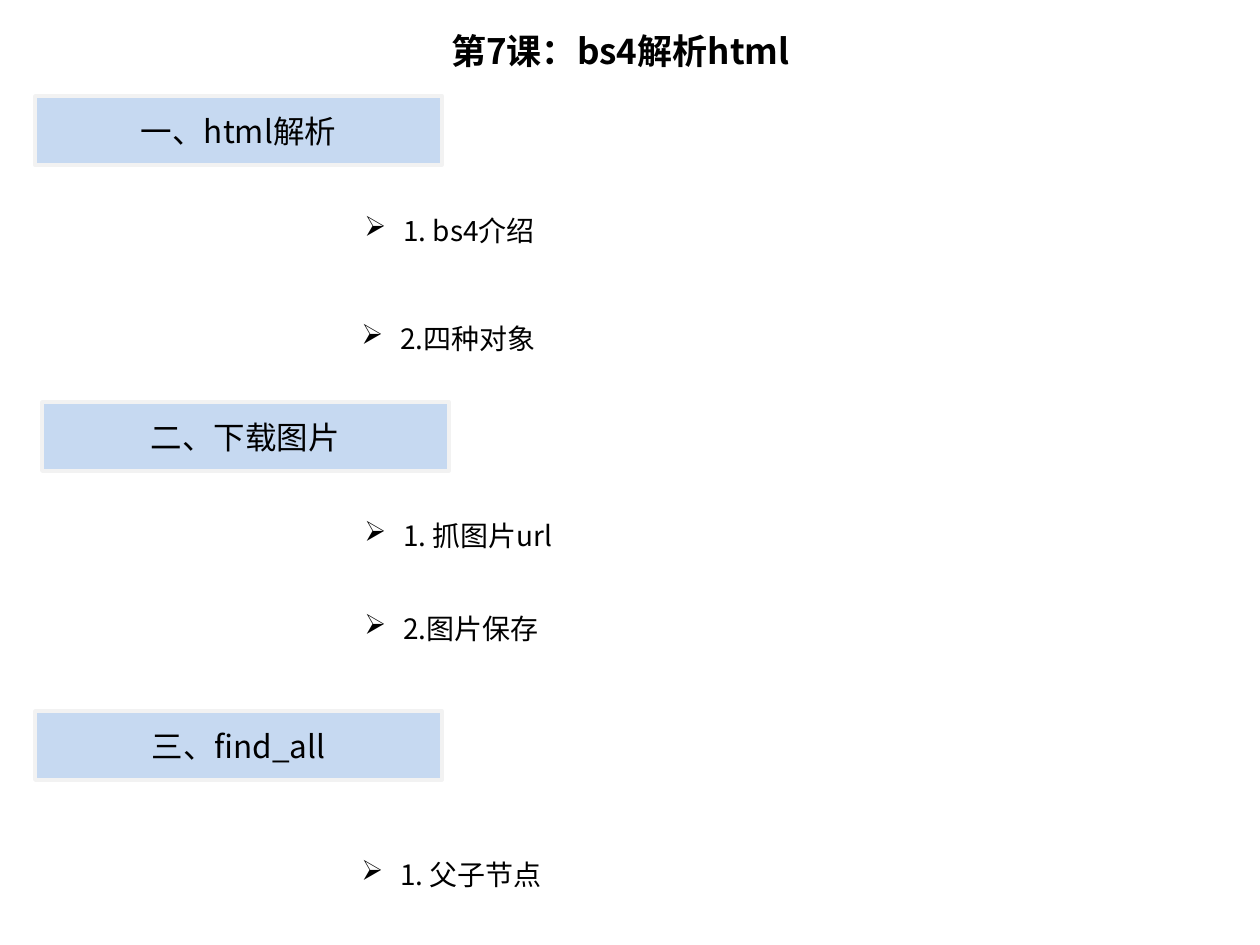
from dataclasses import dataclass

from lxml import etree
from pptx import Presentation
from pptx import util as u
from pptx.dml.color import RGBColor
from pptx.enum import shapes, text
from pptx.oxml.ns import qn

PX = 914400 // 126  # EMU per pixel


@dataclass(frozen=True)
class Theme:
    """Colours, font and type sizes of the slide."""
    font: str = "Noto Sans CJK SC"
    ink: str = "000000"
    fill: str = "C6D9F1"
    line: str = "F2F2F2"
    title: int = 20
    heading: int = 18
    item: int = 16
    item_gap: int = 34


@dataclass(frozen=True)
class Heading:
    """A filled section bar."""
    label: str
    x: int
    y: int
    w: int = 407
    h: int = 69


@dataclass(frozen=True)
class Items:
    """A text box of arrow-bulleted items."""
    lines: tuple[str, ...]
    x: int
    y: int
    w: int = 495
    h: int = 47


T = Theme()
HEADINGS = (
    Heading("一、html解析", 35, 96),
    Heading("二、下载图片", 42, 402),
    Heading("三、find_all", 35, 711),
)
ITEMS = (
    Items(("1. bs4介绍",), 352, 207),
    Items(("2.四种对象",), 349, 315, w=417),
    Items(("1. 抓图片url", "2.图片保存"), 352, 512, h=149),
    Items(("1. 父子节点",), 349, 851),
)


def box(x: int, y: int, w: int, h: int) -> tuple[int, ...]:
    """Turn pixel lengths into EMU."""
    return tuple(v * PX for v in (x, y, w, h))


def write(p, label: str, size: int, bold: bool = False) -> None:
    """Put text into a paragraph and set its font."""
    p.text = label
    f = p.font
    f.name, f.size, f.bold = T.font, u.Pt(size), bold
    f.color.rgb = RGBColor.from_string(T.ink)
    latin = p._p.pPr.find(qn("a:defRPr")).find(qn("a:latin"))
    ea = etree.Element(qn("a:ea"), typeface=T.font)
    latin.addnext(ea)


def centre(sp, label: str, size: int, bold: bool = False) -> None:
    """Write one line in the middle of a shape."""
    tf = sp.text_frame
    tf.word_wrap = True
    tf.vertical_anchor = text.MSO_ANCHOR.MIDDLE
    p = tf.paragraphs[0]
    p.alignment = text.PP_ALIGN.CENTER
    write(p, label, size, bold)


def bullet(p) -> None:
    """Give a paragraph an arrow bullet with a hanging indent."""
    pPr = p._p.get_or_add_pPr()
    pPr.set("marL", str(39 * PX))
    pPr.set("indent", str(-39 * PX))
    mark = etree.Element(qn("a:buChar"), char="➢")
    pPr.find(qn("a:defRPr")).addprevious(mark)


def add_heading(s, h: Heading) -> None:
    """Draw a section bar."""
    sp = s.shapes.add_shape(shapes.MSO_SHAPE.RECTANGLE, *box(h.x, h.y, h.w, h.h))
    sp.shadow.inherit = False
    sp.fill.solid()
    sp.fill.fore_color.rgb = RGBColor.from_string(T.fill)
    sp.line.color.rgb = RGBColor.from_string(T.line)
    sp.line.width = u.Pt(2)
    centre(sp, h.label, T.heading)


def add_items(s, items: Items) -> None:
    """Draw a bulleted text box."""
    tf = s.shapes.add_textbox(*box(items.x, items.y, items.w, items.h)).text_frame
    tf.word_wrap = True
    tf.auto_size = text.MSO_AUTO_SIZE.SHAPE_TO_FIT_TEXT
    for i, line in enumerate(items.lines):
        p = tf.add_paragraph() if i else tf.paragraphs[0]
        if i:
            p.space_before = u.Pt(T.item_gap)
        write(p, line, T.item)
        bullet(p)


def main() -> None:
    """Build and save the slide."""
    prs = Presentation()
    prs.slide_width, prs.slide_height = u.Inches(10), u.Inches(7.5)
    s = prs.slides.add_slide(prs.slide_layouts[6])
    title = s.shapes.add_textbox(*box(44, 16, 1153, 69))
    centre(title, "第7课：bs4解析html", T.title, bold=True)
    for h in HEADINGS:
        add_heading(s, h)
    for items in ITEMS:
        add_items(s, items)
    prs.save("out.pptx")


main()
